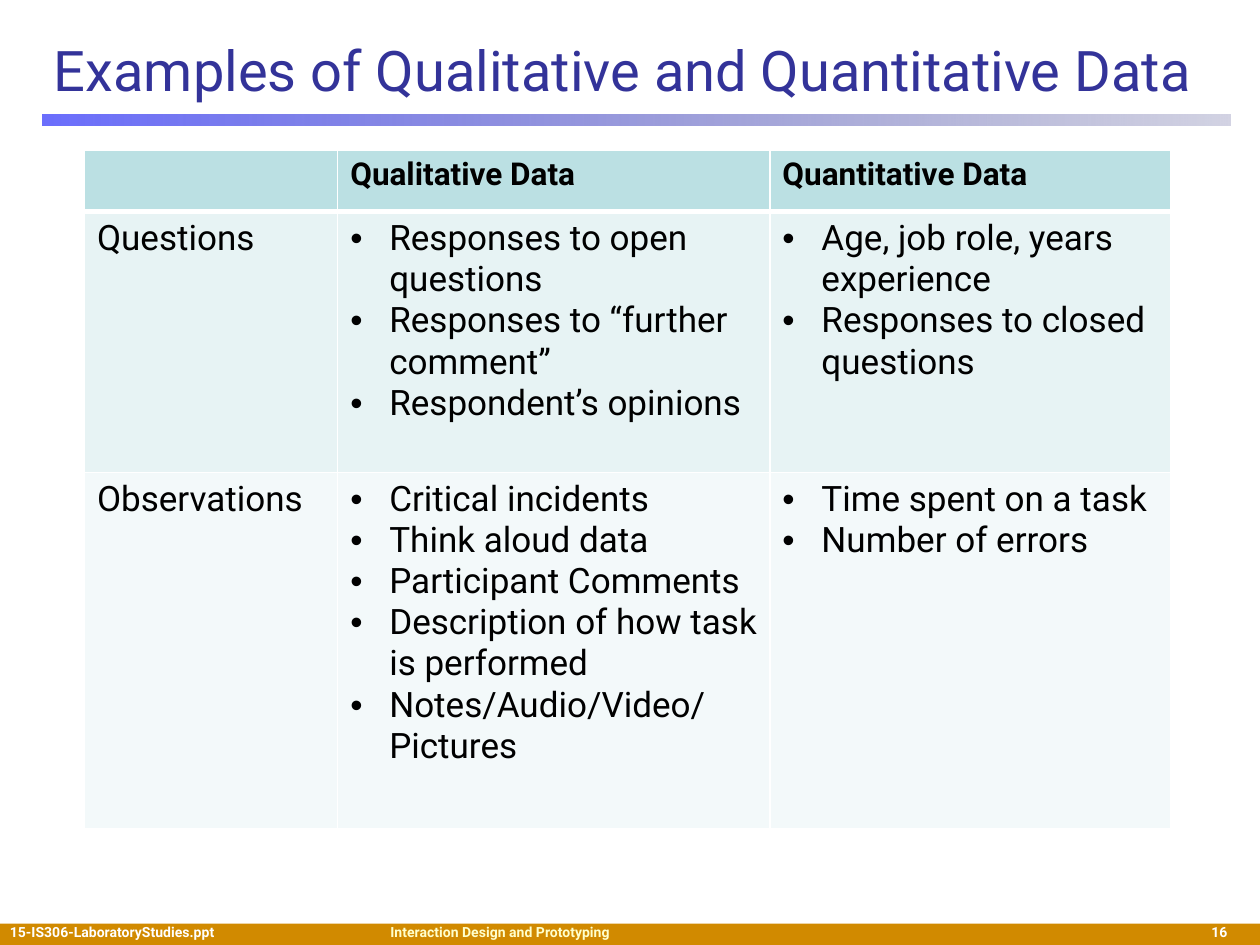
from lxml import etree
from pptx import Presentation
from pptx.dml.color import RGBColor
from pptx.enum import shapes, text
from pptx.oxml.ns import qn
from pptx.util import Inches, Pt

FONT = "Roboto"
WHITE = RGBColor(0xFF, 0xFF, 0xFF)
BLACK = RGBColor(0, 0, 0)
CREAM = RGBColor(0xFF, 0xFF, 0xCC)
NAVY = RGBColor(0x33, 0x33, 0x99)
OCHRE = RGBColor(0xD1, 0x8A, 0x00)
RULE_START = RGBColor(0x46, 0x4A, 0xFC)
RULE_END = RGBColor(0x20, 0x22, 0x75)
ROW_FILLS = [RGBColor(0xBB, 0xE0, 0xE3), RGBColor(0xE7, 0xF3, 0xF4),
             RGBColor(0xF3, 0xF9, 0xFA)]

COLUMN_WIDTHS = [2.01, 3.43, 3.18]
ROW_HEIGHTS = [0.49, 2.07, 2.83]
HANGING_INDENT = Inches(0.31)

# Each cell is a list of paragraphs.
ROWS = [
    [[], ["Qualitative Data"], ["Quantitative Data"]],
    [["Questions"],
     ["Responses to open questions", "Responses to “further comment”",
      "Respondent’s opinions"],
     ["Age, job role, years experience", "Responses to closed questions"]],
    [["Observations"],
     ["Critical incidents", "Think aloud data", "Participant Comments",
      "Description of how task is performed", "Notes/Audio/Video/Pictures"],
     ["Time spent on a task", "Number of errors"]],
]


def style(paragraph, size, color, bold=False):
    font = paragraph.font
    font.name, font.size, font.bold = FONT, Pt(size), bold
    font.color.rgb = color


def add_bar(slide, left, top, width, height):
    bar = slide.shapes.add_shape(shapes.MSO_SHAPE.RECTANGLE, Inches(left),
                                 Inches(top), Inches(width), Inches(height))
    bar.shadow.inherit = False
    bar.line.fill.background()
    return bar


def add_footer_bar(slide):
    bar = add_bar(slide, 0, 7.33, 10, 0.17)
    bar.fill.solid()
    bar.fill.fore_color.rgb = OCHRE


def add_title_rule(slide):
    """Add the bar under the title, which fades out to the right."""
    rule = add_bar(slide, 0.34, 0.91, 9.43, 0.09)
    rule.fill.gradient()
    rule.fill.gradient_angle = 0
    stops = rule.fill.gradient_stops
    for stop, color, position in zip(stops, (RULE_START, RULE_END), (0, 1)):
        stop.color.rgb = color
        stop.position = position
    colors = rule._element.spPr.iter(qn("a:srgbClr"))
    for color, opacity in zip(colors, (80, 20)):
        etree.SubElement(color, qn("a:alpha"), val=str(opacity * 1000))


def add_label(slide, box, words, size, color, bold=False,
              align=text.PP_ALIGN.LEFT, anchor=text.MSO_ANCHOR.TOP):
    label = slide.shapes.add_textbox(*map(Inches, box))
    frame = label.text_frame
    frame.word_wrap = True
    frame.vertical_anchor = anchor
    paragraph = frame.paragraphs[0]
    paragraph.text = words
    paragraph.alignment = align
    style(paragraph, size, color, bold)


def add_bullet(paragraph):
    properties = paragraph._p.get_or_add_pPr()
    properties.set("marL", str(HANGING_INDENT))
    properties.set("indent", str(-HANGING_INDENT))
    etree.SubElement(properties, qn("a:buFont"), typeface="Arial")
    etree.SubElement(properties, qn("a:buChar"), char="•")


def set_borders(cell, widths):
    """Draw white borders; widths holds points for left, right, top, bottom."""
    properties = cell._tc.get_or_add_tcPr()
    for index, (side, width) in enumerate(zip("LRTB", widths)):
        line = etree.Element(qn(f"a:ln{side}"), w=str(Pt(width)))
        fill = etree.SubElement(line, qn("a:solidFill"))
        etree.SubElement(fill, qn("a:srgbClr"), val=str(WHITE))
        properties.insert(index, line)


def fill_cell(cell, lines, row, column):
    is_header = row == 0
    cell.fill.solid()
    cell.fill.fore_color.rgb = ROW_FILLS[row]
    set_borders(cell, (1, 1, 3 if row == 1 else 1, 3 if is_header else 1))
    cell.text_frame.text = "\n".join(lines)
    for paragraph in cell.text_frame.paragraphs:
        if not is_header and column > 0:
            add_bullet(paragraph)
        style(paragraph, 18 if is_header else 20, BLACK, bold=is_header)


def add_data_table(slide):
    frame = slide.shapes.add_table(
        len(ROWS), len(COLUMN_WIDTHS), Inches(0.67), Inches(1.19),
        Inches(sum(COLUMN_WIDTHS)), Inches(sum(ROW_HEIGHTS)))
    table = frame.table
    table.horz_banding = False
    for column, width in zip(table.columns, COLUMN_WIDTHS):
        column.width = Inches(width)
    for row, height in zip(table.rows, ROW_HEIGHTS):
        row.height = Inches(height)
    for r, row in enumerate(ROWS):
        for c, lines in enumerate(row):
            fill_cell(table.cell(r, c), lines, r, c)


def main():
    deck = Presentation()
    deck.slide_width, deck.slide_height = Inches(10), Inches(7.5)
    slide = deck.slides.add_slide(deck.slide_layouts[6])
    add_footer_bar(slide)
    add_title_rule(slide)
    add_label(slide, (0.33, 0.17, 9.42, 0.75),
              "Examples of Qualitative and Quantitative Data", 32, NAVY,
              anchor=text.MSO_ANCHOR.MIDDLE)
    add_label(slide, (-0.02, 7.28, 3.45, 0.22),
              "15-IS306-LaboratoryStudies.ppt", 8, WHITE, bold=True)
    add_label(slide, (3, 7.28, 4, 0.22),
              "Interaction Design and Prototyping", 8, CREAM, bold=True)
    add_label(slide, (8.42, 7.28, 1.42, 0.22), "16", 8, WHITE, bold=True,
              align=text.PP_ALIGN.RIGHT)
    add_data_table(slide)
    deck.save("out.pptx")


if __name__ == "__main__":
    main()
